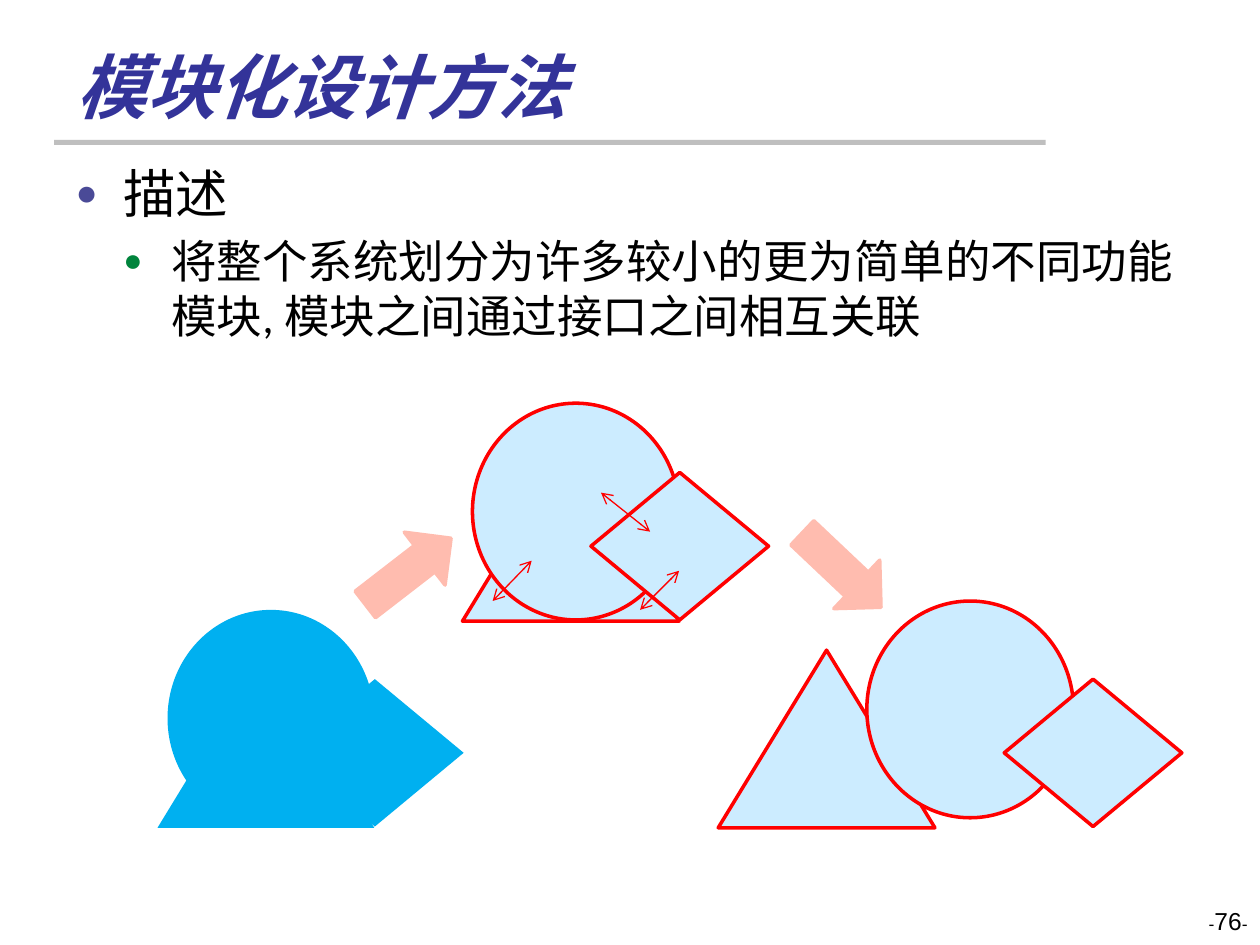
from dataclasses import dataclass

import pptx
import pptx.dml.color
import pptx.enum.shapes
import pptx.enum.text
import pptx.oxml
import pptx.oxml.ns
import pptx.util

EMU_PER_PX = 9144  # 100 px to the inch
COLORS = {
    "title": "333399",
    "text": "000000",
    "rule": "BFBFBF",
    "bullet_main": "4A4A97",
    "bullet_sub": "00843C",
    "whole": "00B0F0",
    "module": "CCECFF",
    "outline": "FF0000",
    "arrow": "FFBCAF",
}
SHAPE = pptx.enum.shapes.MSO_SHAPE
ALIGN = pptx.enum.text.PP_ALIGN
ANCHOR = pptx.enum.text.MSO_ANCHOR


@dataclass(frozen=True)
class Part:
    kind: SHAPE
    width: int
    height: int


@dataclass(frozen=True)
class Figure:
    left: int
    top: int
    offsets: tuple[tuple[int, int], ...]
    fill: str
    outline: str | None = None
    links: tuple[tuple[int, int, int, int], ...] = ()


@dataclass(frozen=True)
class BlockArrow:
    left: int
    top: int
    rotation: float


PARTS = (
    Part(SHAPE.ISOSCELES_TRIANGLE, 172, 141),
    Part(SHAPE.OVAL, 164, 172),
    Part(SHAPE.FLOWCHART_DECISION, 141, 117),
)
JOINED = ((0, 32), (8, 0), (102, 55))
SEPARATE = ((0, 39), (118, 0), (227, 62))
FIGURES = (
    Figure(125, 484, JOINED, "whole"),
    Figure(367, 320, JOINED, "module", "outline",
           ((110, 71, 149, 102), (24, 157, 55, 125), (141, 164, 172, 133))),
    Figure(570, 477, SEPARATE, "module", "outline"),
)
ARROWS = (BlockArrow(281, 427, 322.3), BlockArrow(625, 426, 43.4))


def px(length: int) -> pptx.util.Emu:
    return pptx.util.Emu(length * EMU_PER_PX)


def rgb(name: str) -> pptx.dml.color.RGBColor:
    return pptx.dml.color.RGBColor.from_string(COLORS[name])


def place(box, left: int, top: int, width: int, height: int) -> None:
    box.left, box.top, box.width, box.height = map(px, (left, top, width, height))


def add_span(para, text: str, *, size: int, font: str = "Calibri",
             color: str = "text", bold: bool = False, italic: bool = False) -> None:
    span = para.add_run()
    span.text = text
    span.font.name = font
    span.font.size = pptx.util.Pt(size)
    span.font.bold = bold
    span.font.italic = italic
    span.font.color.rgb = rgb(color)


def set_bullet(para, color: str, indent: int, hanging: int) -> None:
    properties = para._p.get_or_add_pPr()
    properties.set("marL", str(px(indent)))
    properties.set("indent", str(px(-hanging)))
    namespace = pptx.oxml.ns.nsdecls("a")
    for element in (
        f'<a:buClr {namespace}><a:srgbClr val="{COLORS[color]}"/></a:buClr>',
        f'<a:buSzPct {namespace} val="70000"/>',
        f'<a:buFont {namespace} typeface="Arial"/>',
        f'<a:buChar {namespace} char="●"/>',
    ):
        properties.append(pptx.oxml.parse_xml(element))


def add_filled(shapes, kind: SHAPE, left: int, top: int, width: int, height: int,
               fill: str, outline: str | None = None):
    shape = shapes.add_shape(kind, *map(px, (left, top, width, height)))
    shape.shadow.inherit = False
    shape.fill.solid()
    shape.fill.fore_color.rgb = rgb(fill)
    if outline:
        shape.line.color.rgb = rgb(outline)
        shape.line.width = pptx.util.Pt(2)
    else:
        shape.line.fill.background()
    return shape


def add_link(shapes, start_x: int, start_y: int, end_x: int, end_y: int) -> None:
    """Draw a thin line with an open arrowhead at both ends."""
    link = shapes.add_connector(pptx.enum.shapes.MSO_CONNECTOR.STRAIGHT,
                                *map(px, (start_x, start_y, end_x, end_y)))
    link.line.color.rgb = rgb("outline")
    link.line.width = pptx.util.Pt(0.75)
    namespace = pptx.oxml.ns.nsdecls("a")
    line = link.line._get_or_add_ln()
    for end in ("headEnd", "tailEnd"):
        line.append(pptx.oxml.parse_xml(f'<a:{end} {namespace} type="arrow"/>'))
    link._element.spPr.append(pptx.oxml.parse_xml(f"<a:effectLst {namespace}/>"))


def add_figure(page, figure: Figure) -> None:
    shapes = page.shapes.add_group_shape().shapes
    for part, (x, y) in zip(PARTS, figure.offsets):
        add_filled(shapes, part.kind, figure.left + x, figure.top + y,
                   part.width, part.height, figure.fill, figure.outline)
    for x1, y1, x2, y2 in figure.links:
        add_link(shapes, figure.left + x1, figure.top + y1,
                 figure.left + x2, figure.top + y2)


def fill_title(page) -> None:
    title = page.shapes.title
    place(title, 51, 28, 825, 78)
    title.text_frame.vertical_anchor = ANCHOR.BOTTOM
    para = title.text_frame.paragraphs[0]
    para.alignment = ALIGN.LEFT
    add_span(para, "模块化设计方法", size=40, color="title", bold=True, italic=True)


def fill_body(page) -> None:
    body = page.placeholders[1]
    place(body, 50, 123, 911, 627)
    heading = body.text_frame.paragraphs[0]
    heading.space_before = pptx.util.Pt(0)
    set_bullet(heading, "bullet_main", 38, 38)
    add_span(heading, "描述", size=30)
    detail = body.text_frame.add_paragraph()
    detail.level = 1
    detail.space_before = pptx.util.Pt(5)
    set_bullet(detail, "bullet_sub", 76, 38)
    add_span(detail, "将整个系统划分为许多较小的更为简单的不同功能模块, "
             "模块之间通过接口之间相互关联", size=26)


def add_page_number(page) -> None:
    box = page.shapes.add_textbox(*map(px, (767, 714, 233, 50)))
    box.text_frame.word_wrap = True
    para = box.text_frame.paragraphs[0]
    para.alignment = ALIGN.RIGHT
    for text, size in (("-", 10), ("76", 14), ("-", 10)):
        add_span(para, text, size=size, font="Arial")


def main() -> None:
    deck = pptx.Presentation()
    deck.slide_width, deck.slide_height = px(1000), px(750)
    page = deck.slides.add_slide(deck.slide_layouts[1])
    add_filled(page.shapes, SHAPE.RECTANGLE, 43, 111, 787, 4, "rule")
    fill_title(page)
    fill_body(page)
    for figure in FIGURES:
        add_figure(page, figure)
    for arrow in ARROWS:
        shape = add_filled(page.shapes, SHAPE.RIGHT_ARROW, arrow.left, arrow.top,
                           86, 53, "arrow", "arrow")
        shape.rotation = arrow.rotation
    add_page_number(page)
    deck.save("out.pptx")


if __name__ == "__main__":
    main()
